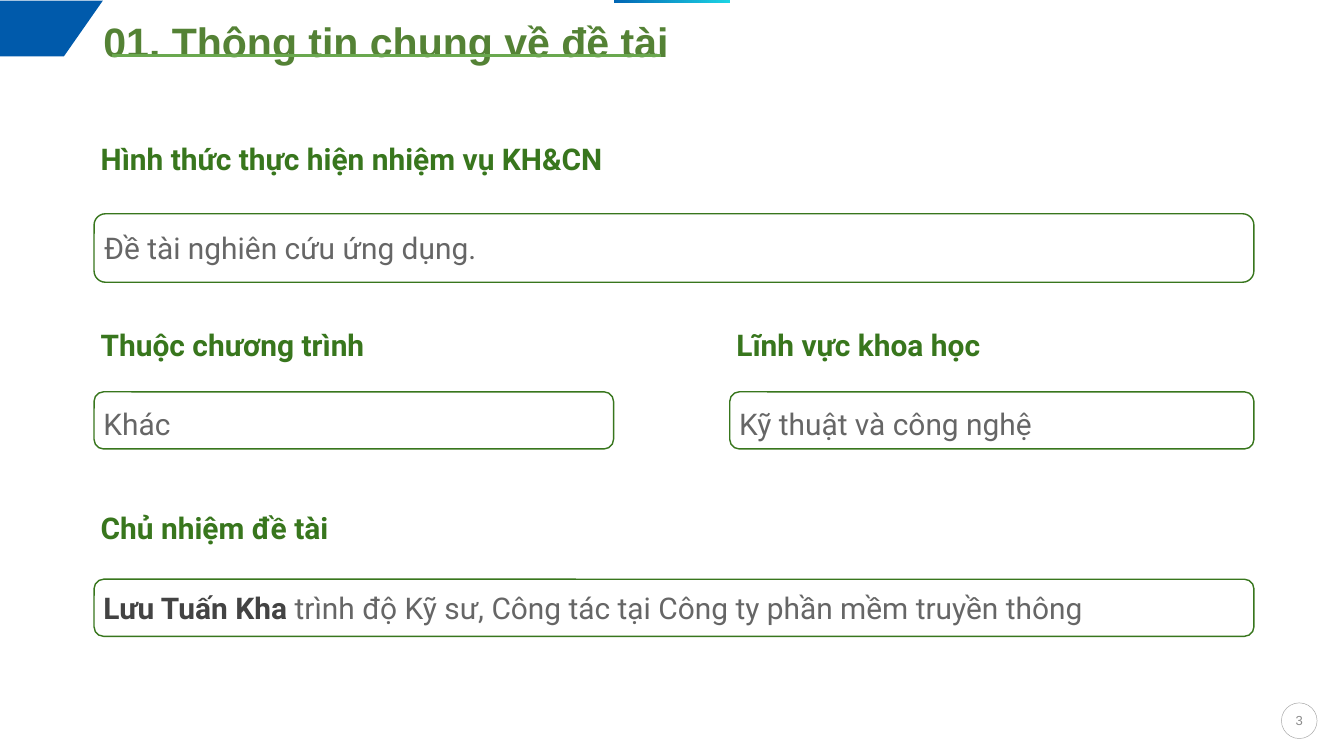
"""Build the general information slide of a research project."""
from dataclasses import dataclass

from lxml.etree import SubElement
from pptx import Presentation
from pptx.dml.color import RGBColor as Color
from pptx.enum.shapes import MSO_CONNECTOR as Connector, MSO_SHAPE as Preset
from pptx.enum.text import MSO_ANCHOR as Anchor, MSO_AUTO_SIZE as AutoSize, PP_ALIGN as Align
from pptx.oxml.ns import qn
from pptx.util import Pt


@dataclass(frozen=True)
class Theme:
    title: str = "548235"
    heading: str = "38761D"
    underline: str = "6AA84F"
    body: str = "666666"
    strong: str = "434343"
    corner: str = "005AAB"
    bar_start: str = "0166B4"
    bar_end: str = "1CD4E4"
    number: str = "8C8C8C"
    ring: str = "A6A6A6"
    paper: str = "FFFFFF"
    title_size: float = 44
    text_size: float = 32
    number_size: float = 14
    title_font: str = "Arial"
    text_font: str = "Roboto"


@dataclass(frozen=True)
class Field:
    heading: str
    value: str
    left: float
    width: float
    heading_top: float
    box_top: float
    box_height: float = 61.2
    strong: str = ""
    spacing: float = 1
    gap: float = 0


THEME = Theme()
LEFT, RIGHT = 100.8, 1343.5
FULL_WIDTH = RIGHT - LEFT
SECOND_LEFT = 781.9
HEADING_HEIGHT = 53.3

FIELDS = (
    Field("Hình thức thực hiện nhiệm vụ KH&CN", "Đề tài nghiên cứu ứng dụng.",
          LEFT, FULL_WIDTH, 144, 229, box_height=73.4),
    Field("Thuộc chương trình", "Khác", LEFT, 556.6, 342.7, 419.8, spacing=1.15, gap=3),
    Field("Lĩnh vực khoa học", "Kỹ thuật và công nghệ",
          SECOND_LEFT, RIGHT - SECOND_LEFT, 342.7, 419.8, spacing=1.15, gap=3),
    Field("Chủ nhiệm đề tài", "trình độ Kỹ sư, Công tác tại Công ty phần mềm truyền thông",
          LEFT, FULL_WIDTH, 538.6, 620.6, strong="Lưu Tuấn Kha "),
)


def write_text(shape, text: str, *, color: str, size: float = THEME.text_size,
               font: str = THEME.text_font, bold: bool = False, align=Align.LEFT,
               anchor=Anchor.TOP, insets: tuple = (7.2, 7.2, 7.2, 7.2),
               spacing: float = 1, gap: float = 0, auto_size=AutoSize.NONE) -> None:
    """Append a formatted run to the first paragraph of a shape."""
    frame = shape.text_frame
    frame.word_wrap = True
    frame.auto_size = auto_size
    frame.vertical_anchor = anchor
    frame.margin_left, frame.margin_top, frame.margin_right, frame.margin_bottom = map(Pt, insets)
    paragraph = frame.paragraphs[0]
    paragraph.alignment = align
    paragraph.line_spacing = spacing
    paragraph.space_before = paragraph.space_after = Pt(gap)
    run = paragraph.add_run()
    run.text = text
    run.font.name, run.font.size, run.font.bold = font, Pt(size), bold
    run.font.color.rgb = Color.from_string(color)


def add_preset(slide, preset, left: float, top: float, width: float, height: float,
               line: str = "", line_width: float = 1):
    """Add a white preset shape with an optional outline."""
    shape = slide.shapes.add_shape(preset, Pt(left), Pt(top), Pt(width), Pt(height))
    shape.shadow.inherit = False
    shape.fill.solid()
    shape.fill.fore_color.rgb = Color.from_string(THEME.paper)
    if line:
        shape.line.color.rgb = Color.from_string(line)
        shape.line.width = Pt(line_width)
    else:
        shape.line.fill.background()
    return shape


def add_title(slide, text: str) -> None:
    """Fill the title placeholder and underline it."""
    title = slide.shapes.title
    title.left, title.top, title.width, title.height = Pt(LEFT), Pt(3.6), Pt(FULL_WIDTH), Pt(59.8)
    write_text(title, text, color=THEME.title, size=THEME.title_size, font=THEME.title_font,
               bold=True, anchor=Anchor.MIDDLE, insets=(10, 5, 10, 27), spacing=1.8)
    line = slide.shapes.add_connector(Connector.STRAIGHT, Pt(119.5), Pt(59.8), Pt(708.5), Pt(59.8))
    line.line.color.rgb = Color.from_string(THEME.underline)
    line.line.width = Pt(3)
    SubElement(line._element.spPr, qn("a:effectLst"))


def add_decoration(slide) -> None:
    """Draw the corner flag and the gradient bar at the top edge."""
    builder = slide.shapes.build_freeform(Pt(0), Pt(0.7))
    builder.add_line_segments([(Pt(110.2), Pt(0.7)), (Pt(68.4), Pt(60.5)), (Pt(0), Pt(60.5))])
    corner = builder.convert_to_shape()
    corner.shadow.inherit = False
    corner.fill.solid()
    corner.fill.fore_color.rgb = Color.from_string(THEME.corner)
    corner.line.fill.background()
    bar = add_preset(slide, Preset.RECTANGLE, 658, 0, 124.6, 3.6)
    bar.fill.gradient()
    bar.fill.gradient_angle = 0
    stops = zip(bar.fill.gradient_stops, (0, 1), (THEME.bar_start, THEME.bar_end))
    for stop, position, color in stops:
        stop.position = position
        stop.color.rgb = Color.from_string(color)


def add_page_number(slide, number: int) -> None:
    """Draw the ringed page number."""
    left, size = 1373, 38.2
    add_preset(slide, Preset.OVAL, left, 753.1, size, size, THEME.ring, 0.5)
    label = slide.shapes.add_textbox(Pt(left), Pt(760.3), Pt(size), Pt(24.5))
    write_text(label, str(number), color=THEME.number, size=THEME.number_size,
               font=THEME.title_font, align=Align.CENTER, insets=(7.2, 3.6, 7.2, 3.6))


def add_field(slide, field: Field) -> None:
    """Draw a heading with its outlined value box."""
    heading = slide.shapes.add_textbox(Pt(field.left), Pt(field.heading_top),
                                       Pt(field.width), Pt(HEADING_HEIGHT))
    write_text(heading, field.heading, color=THEME.heading, bold=True,
               auto_size=AutoSize.SHAPE_TO_FIT_TEXT)
    box = add_preset(slide, Preset.FLOWCHART_ALTERNATE_PROCESS, field.left, field.box_top,
                     field.width, field.box_height, THEME.heading, 1.5)
    if field.strong:
        write_text(box, field.strong, color=THEME.strong, bold=True, anchor=Anchor.MIDDLE)
    write_text(box, field.value, color=THEME.body, anchor=Anchor.MIDDLE,
               spacing=field.spacing, gap=field.gap)


def main() -> None:
    """Assemble and save the presentation."""
    presentation = Presentation()
    presentation.slide_width, presentation.slide_height = Pt(1440), Pt(810)
    slide = presentation.slides.add_slide(presentation.slide_layouts[5])
    add_decoration(slide)
    add_title(slide, "01. Thông tin chung về đề tài")
    for field in FIELDS:
        add_field(slide, field)
    add_page_number(slide, 3)
    presentation.save("out.pptx")


if __name__ == "__main__":
    main()
